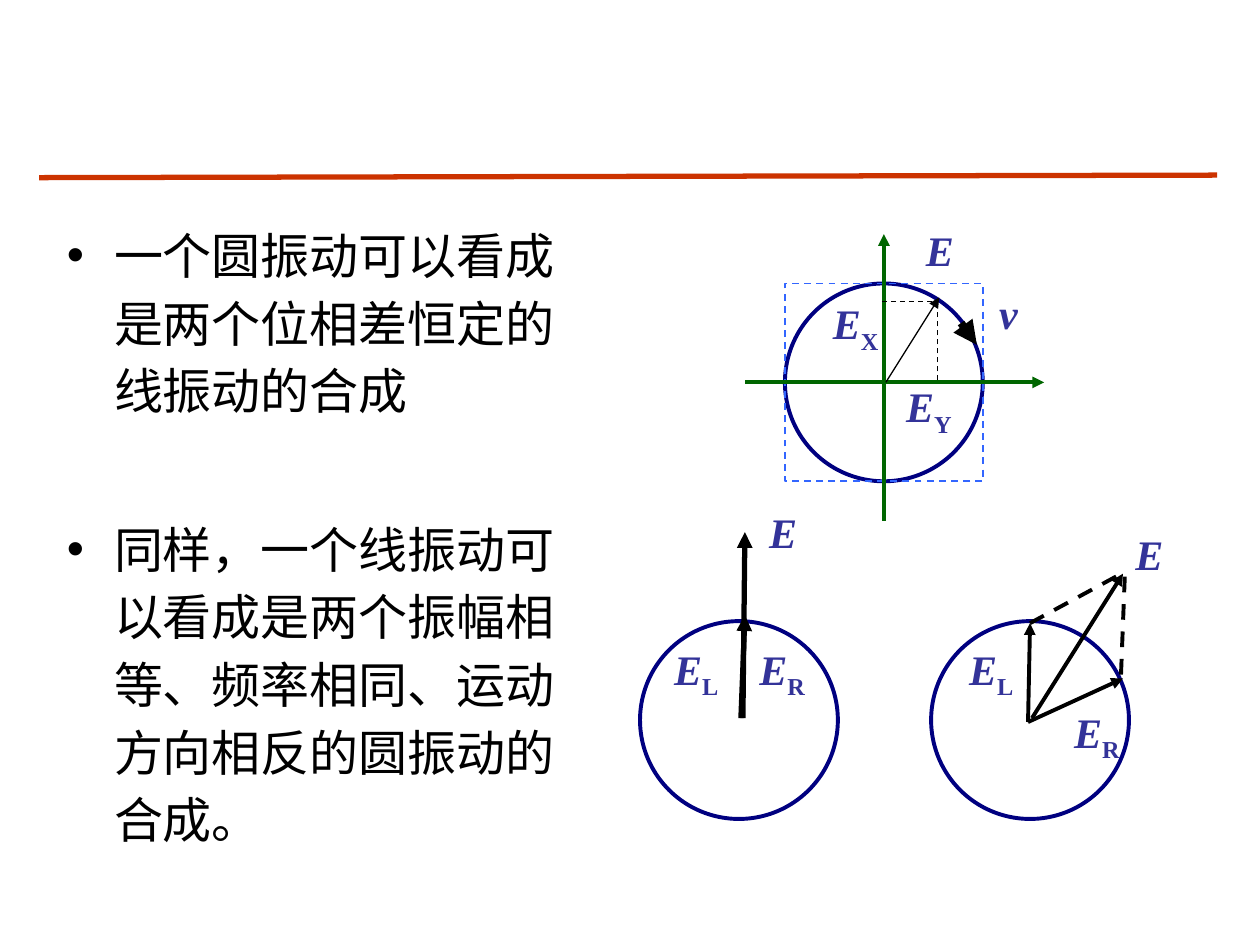
from lxml.etree import SubElement
from pptx import Presentation
from pptx.dml.color import RGBColor
from pptx.enum.dml import MSO_LINE_DASH_STYLE as Dash
from pptx.enum.shapes import MSO_CONNECTOR as Connector, MSO_SHAPE as Shape
from pptx.enum.text import MSO_ANCHOR as Anchor, MSO_AUTO_SIZE as AutoSize
from pptx.oxml.ns import qn
from pptx.util import Inches, Pt

NAVY, BLUE, GREEN, BLACK = "000080", "3366FF", "006600", "000000"
INDIGO, RUST = "333399", "CC3300"
DIAMETER = 1.57


def color(value):
    return RGBColor.from_string(value)


def at(box, point):
    left, top, width, height = box
    return Inches(left + point[0] * width), Inches(top + point[1] * height)


def style_line(line, hue, weight, dash=None):
    line.color.rgb = color(hue)
    line.width = Pt(weight)
    if dash:
        line.dash_style = dash


def add_line(slide, box, start, end, hue=BLACK, weight=2.25, dashed=False, arrow=True):
    stroke = slide.shapes.add_connector(Connector.STRAIGHT, *at(box, start), *at(box, end))
    style_line(stroke.line, hue, weight, Dash.DASH if dashed else None)
    if arrow and not dashed:
        SubElement(stroke.line._get_or_add_ln(), qn("a:tailEnd"), type="triangle")
    SubElement(stroke._element.spPr, qn("a:effectLst"))


def add_outline(slide, box, kind, hue, weight, dash=None):
    outline = slide.shapes.add_shape(kind, *map(Inches, box))
    outline.shadow.inherit = False
    outline.fill.background()
    style_line(outline.line, hue, weight, dash)


def add_label(slide, box, point, symbol, subscript=""):
    width, height = (0.56, 0.56) if subscript else (0.42 if symbol == "E" else 0.35, 0.5)
    frame = slide.shapes.add_textbox(*at(box, point), Inches(width), Inches(height)).text_frame
    frame.word_wrap = False
    frame.auto_size = AutoSize.SHAPE_TO_FIT_TEXT
    formula = frame.paragraphs[0]
    formula.font.name = "Times New Roman"
    formula.font.size = Pt(24)
    formula.font.bold = True
    formula.font.color.rgb = color(INDIGO)
    letter = formula.add_run()
    letter.text = symbol
    letter.font.italic = True
    if subscript:
        index = formula.add_run()
        index.text = subscript
        index.font._element.set("baseline", "-25000")


def add_labels(slide, box, labels):
    for point, *text in labels:
        add_label(slide, box, point, *text)


def add_statements(slide, box, statements):
    body = slide.placeholders[1]
    body.left, body.top, body.width, body.height = map(Inches, box)
    frame = body.text_frame
    frame.word_wrap = True
    frame.auto_size = AutoSize.NONE
    frame.vertical_anchor = Anchor.TOP
    frame.text = "\n".join(statements)
    for order, statement in enumerate(frame.paragraphs):
        statement.line_spacing = 1.15
        statement.space_before = Pt(52 * order)
        statement.font.name = "Arial"
        statement.font.size = Pt(28)
        statement.font.color.rgb = color(BLACK)


def add_circular_vibration(slide, box):
    add_outline(slide, box, Shape.OVAL, NAVY, 2.25)
    add_outline(slide, box, Shape.RECTANGLE, BLUE, 1, Dash.DASH)
    add_line(slide, box, (-0.2, 0.5), (1.31, 0.5), GREEN)
    add_line(slide, box, (0.5, 1.2), (0.5, -0.25), GREEN)
    add_line(slide, box, (0.89, 0.2), (0.97, 0.31), weight=4.5)
    add_line(slide, box, (0.51, 0.5), (0.78, 0.07), weight=0.75)
    add_line(slide, box, (0.49, 0.09), (0.75, 0.09), weight=0.75, dashed=True)
    add_line(slide, box, (0.77, 0.49), (0.77, 0.11), weight=0.75, dashed=True)
    add_labels(slide, box, [((0.18, 0.04), "E", "X"), ((0.55, 0.46), "E", "Y"),
                            ((0.65, -0.33), "E"), ((1.02, -0.01), "v")])


def add_aligned_vectors(slide, box):
    add_outline(slide, box, Shape.OVAL, NAVY, 2.25)
    add_line(slide, box, (0.51, 0.49), (0.53, -0.03), weight=3)
    add_line(slide, box, (0.52, 0.49), (0.53, -0.45), weight=3)
    add_labels(slide, box, [((0.11, 0.08), "E", "L"), ((0.54, 0.08), "E", "R"),
                            ((0.59, -0.61), "E")])


def add_parallelogram(slide, box):
    center, left_tip, right_tip, sum_tip = (0.49, 0.51), (0.5, 0.01), (0.97, 0.29), (0.98, -0.25)
    add_outline(slide, box, Shape.OVAL, NAVY, 2.25)
    add_line(slide, box, center, right_tip)
    add_line(slide, box, (0.51, 0.49), (0.97, -0.24))
    add_line(slide, box, center, left_tip)
    add_line(slide, box, left_tip, sum_tip, dashed=True)
    add_line(slide, box, (0.96, 0.27), sum_tip, dashed=True)
    add_labels(slide, box, [((0.13, 0.08), "E", "L"), ((0.66, 0.4), "E", "R"),
                            ((0.97, -0.5), "E")])


def main():
    deck = Presentation()
    deck.slide_width, deck.slide_height = Inches(10), Inches(7.5)
    slide = deck.slides.add_slide(deck.slide_layouts[1])
    title = slide.shapes.title._element
    title.getparent().remove(title)
    add_statements(slide, (0.43, 1.67, 4.42, 5.83), [
        "一个圆振动可以看成是两个位相差恒定的线振动的合成",
        "同样，一个线振动可以看成是两个振幅相等、频率相同、运动方向相反的圆振动的合成。",
    ])
    add_circular_vibration(slide, (6.23, 2.25, DIAMETER, DIAMETER))
    add_aligned_vectors(slide, (5.08, 4.93, DIAMETER, DIAMETER))
    add_parallelogram(slide, (7.39, 4.93, DIAMETER, DIAMETER))
    add_line(slide, (0.31, 1.39, 9.35, 0.02), (0, 1), (1, 0), RUST, 3, arrow=False)
    deck.save("out.pptx")


if __name__ == "__main__":
    main()
